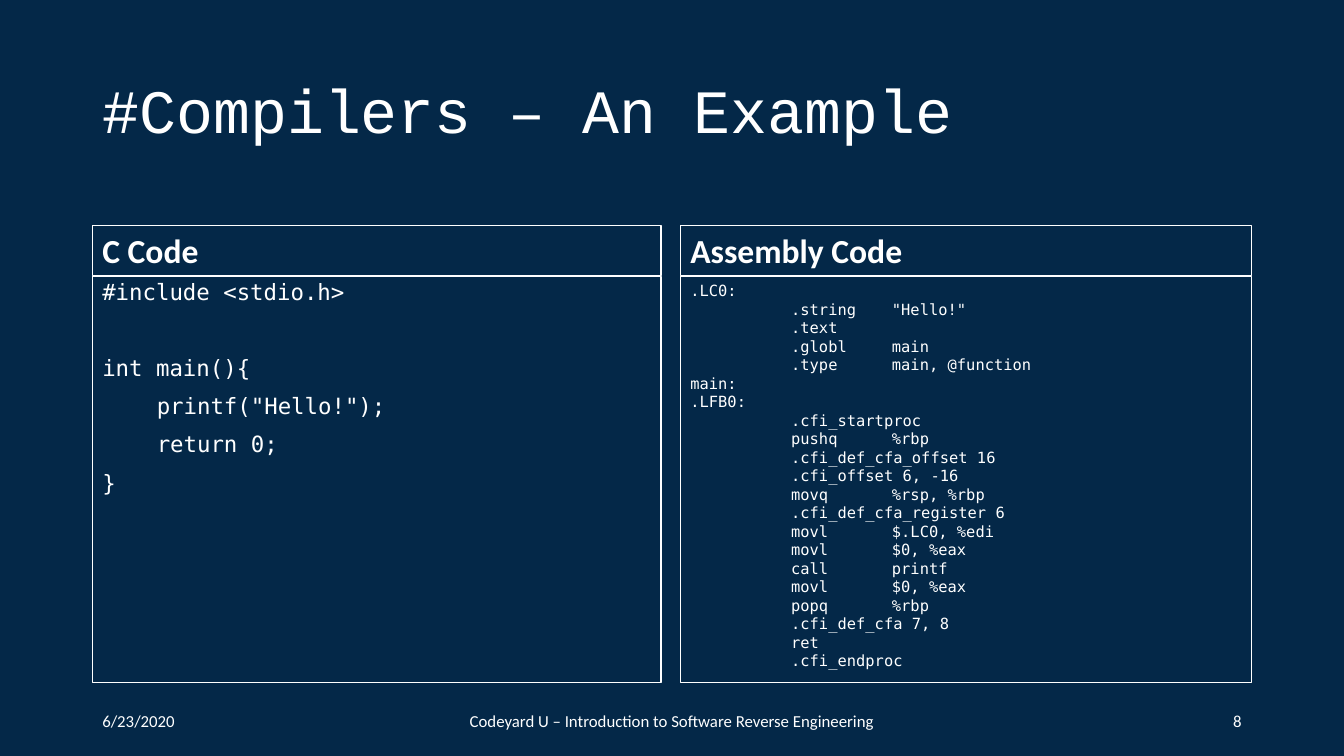
import pptx
import pptx.dml.color
import pptx.enum.shapes
import pptx.enum.text
import pptx.util

NAVY = pptx.dml.color.RGBColor(0x04, 0x28, 0x48)
WHITE = pptx.dml.color.RGBColor(0xFF, 0xFF, 0xFF)
ALIGN = pptx.enum.text.PP_ALIGN
ANCHOR = pptx.enum.text.MSO_ANCHOR
COLS, ROWS = 160, 90

TITLE = {"name": "Courier New", "size": pptx.util.Pt(44)}
HEADING = {"name": "Calibri", "size": pptx.util.Pt(24), "bold": True}
C_FONT = {"name": "DejaVu Sans Mono", "size": pptx.util.Pt(16)}
ASM_FONT = {"name": "DejaVu Sans Mono", "size": pptx.util.Pt(11)}
FOOTER = {"name": "Calibri", "size": pptx.util.Pt(12)}
TIGHT = {"line_spacing": 0.9}
SPACED = {"line_spacing": 0.9, "space_before": pptx.util.Pt(10)}
AFTER_GAP = {"space_before": pptx.util.Pt(37)}
INDENT = pptx.util.Inches(0.54)

C_LINES = [
    ("#include <stdio.h>", {}, 0),
    ("int main(){", AFTER_GAP, 0),
    ('printf("Hello!");', {}, INDENT),
    ("return 0;", {}, INDENT),
    ("}", {}, 0),
]
ASM_LINES = [
    ".LC0:",
    '\t.string\t"Hello!"',
    "\t.text",
    "\t.globl\tmain",
    "\t.type\tmain, @function",
    "main:",
    ".LFB0:",
    "\t.cfi_startproc",
    "\tpushq\t%rbp",
    "\t.cfi_def_cfa_offset 16",
    "\t.cfi_offset 6, -16",
    "\tmovq\t%rsp, %rbp",
    "\t.cfi_def_cfa_register 6",
    "\tmovl\t$.LC0, %edi",
    "\tmovl\t$0, %eax",
    "\tcall\tprintf",
    "\tmovl\t$0, %eax",
    "\tpopq\t%rbp",
    "\t.cfi_def_cfa 7, 8",
    "\tret",
    "\t.cfi_endproc",
]


class Deck:
    """Hold the style and the current slide, and draw its elements on a grid."""

    def __init__(self):
        self.prs = pptx.Presentation()
        self.prs.slide_width = pptx.util.Inches(13.333)
        self.prs.slide_height = pptx.util.Inches(7.5)
        self.s = self.prs.slides.add_slide(self.prs.slide_layouts[6])
        self.s.background.fill.solid()
        self.s.background.fill.fore_color.rgb = NAVY

    def place(self, col, row, cols, rows):
        x = self.prs.slide_width / COLS
        y = self.prs.slide_height / ROWS
        return [round(v) for v in (col * x, row * y, cols * x, rows * y)]

    def fill_text(self, sp, lines, font, para, anchor):
        tf = sp.text_frame
        tf.word_wrap = True
        tf.vertical_anchor = anchor
        for i, line in enumerate(lines):
            text, extra, indent = (line, {}, 0) if isinstance(line, str) else line
            p = tf.add_paragraph() if i else tf.paragraphs[0]
            for key, value in ({"alignment": ALIGN.LEFT} | para | extra).items():
                setattr(p, key, value)
            pPr = p._p.get_or_add_pPr()
            pPr.set("marL", str(indent))
            pPr.set("defTabSz", str(pptx.util.Inches(1)))
            r = p.add_run()
            r.text = text
            for key, value in font.items():
                setattr(r.font, key, value)
            r.font.color.rgb = WHITE

    def text(self, box, text, font, para):
        sp = self.s.shapes.add_textbox(*self.place(*box))
        self.fill_text(sp, [text], font, para, ANCHOR.MIDDLE)

    def frame(self, box, lines, font, para, anchor=ANCHOR.TOP):
        sp = self.s.shapes.add_shape(
            pptx.enum.shapes.MSO_SHAPE.RECTANGLE, *self.place(*box))
        sp.shadow.inherit = False
        sp.fill.background()
        sp.line.color.rgb = WHITE
        sp.line.width = pptx.util.Pt(0.75)
        self.fill_text(sp, lines, font, para, anchor)

    def panel(self, col, cols, heading, lines, font, para):
        self.frame((col, 26.9, cols, 5.9), [heading], HEADING, SPACED, ANCHOR.BOTTOM)
        self.frame((col, 32.9, cols, 48.4), lines, font, para)

    def footer(self, col, cols, text, align):
        self.text((col, 83.4, cols, 4.8), text, FOOTER, {"alignment": align})


def main():
    deck = Deck()
    deck.text((11, 4.8, 138, 17.4), "#Compilers – An Example", TITLE, TIGHT)
    deck.panel(11, 67.7, "C Code", C_LINES, C_FONT, SPACED)
    deck.panel(81, 68, "Assembly Code", ASM_LINES, ASM_FONT, {})
    deck.footer(11, 36, "6/23/2020", ALIGN.LEFT)
    deck.footer(53, 54, "Codeyard U – Introduction to Software Reverse Engineering",
                ALIGN.CENTER)
    deck.footer(113, 36, "8", ALIGN.RIGHT)
    deck.prs.save("out.pptx")


if __name__ == "__main__":
    main()
